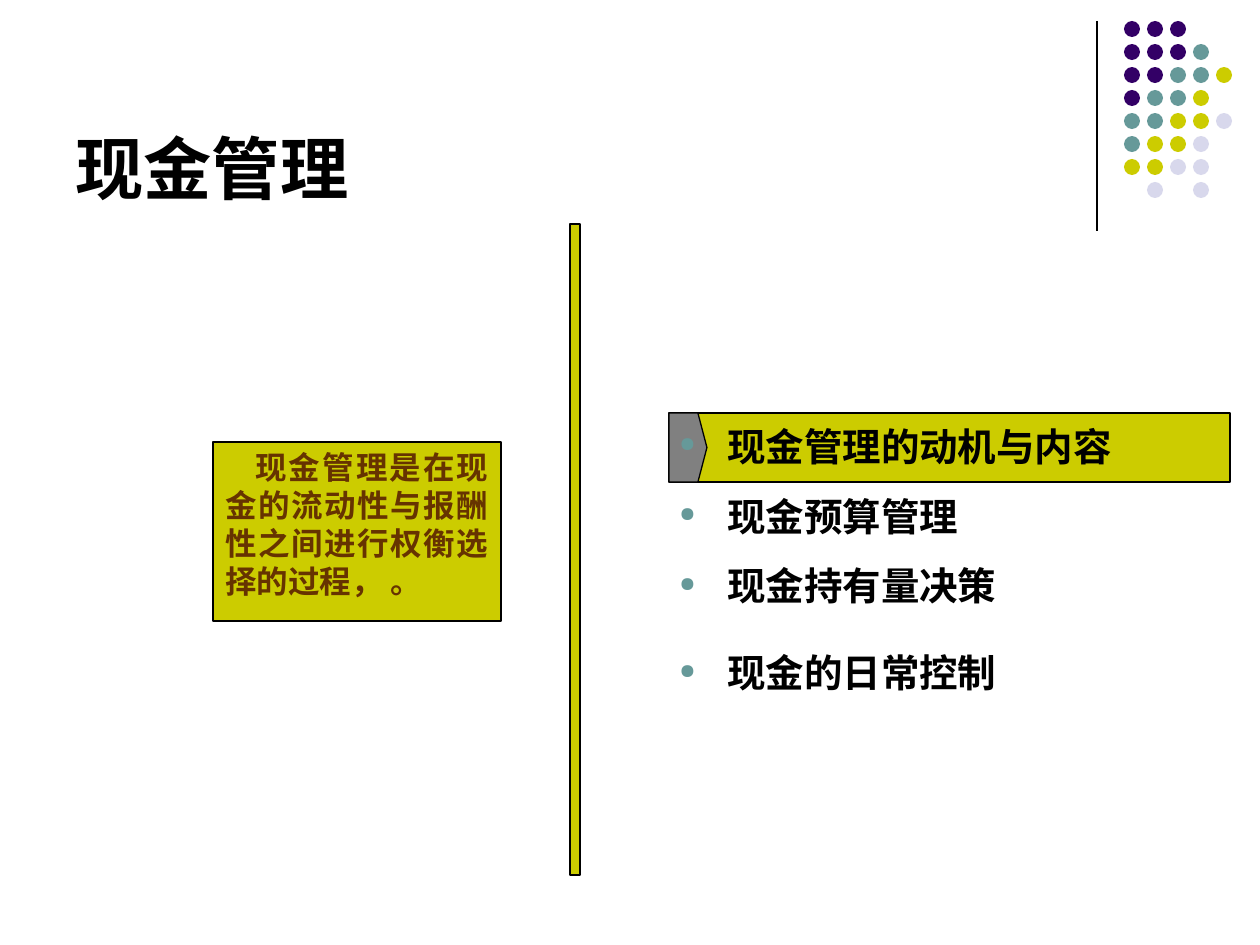
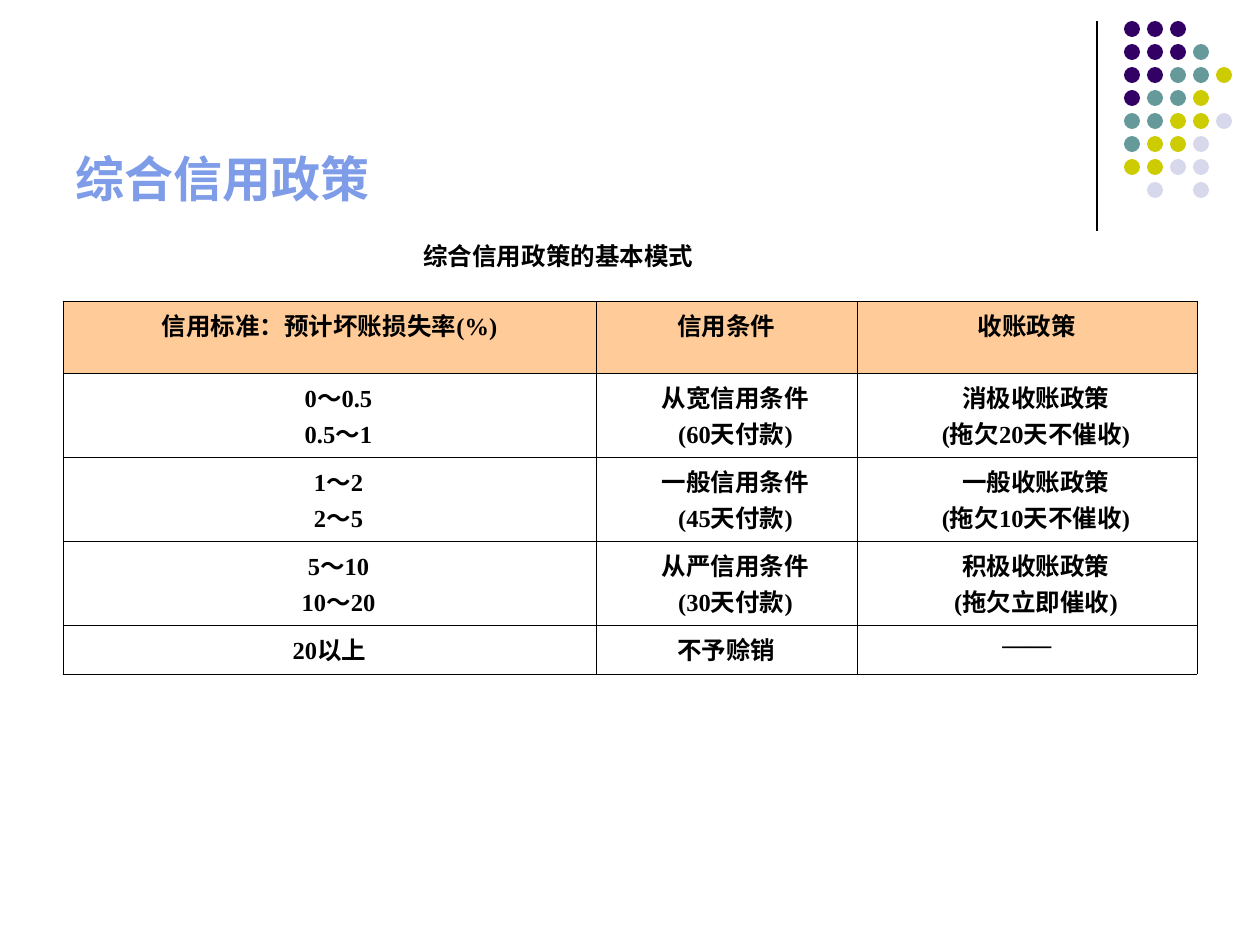
from lxml import etree
from pptx import Presentation
from pptx.dml.color import RGBColor
from pptx.enum import shapes, text
from pptx.oxml import ns
from pptx import util as u

# Scale: 126 px to the inch
PX = 914400 / 126

# Colours
BLACK = RGBColor(0x00, 0x00, 0x00)
PURPLE = RGBColor(0x33, 0x00, 0x66)
TEAL = RGBColor(0x66, 0x99, 0x99)
OLIVE = RGBColor(0xCC, 0xCC, 0x00)
LAVENDER = RGBColor(0xD8, 0xD8, 0xEC)
GREY = RGBColor(0x80, 0x80, 0x80)
BROWN = RGBColor(0x66, 0x33, 0x00)
BLUE = RGBColor(0x7E, 0x9C, 0xE8)
PEACH = RGBColor(0xFF, 0xCC, 0x99)

CJK = "Noto Sans CJK SC"
DOT_COLOURS = {"P": PURPLE, "T": TEAL, "O": OLIVE, "L": LAVENDER}
DOT_ROWS = ["PPP", "PPPT", "PPTTO", "PTTO", "TTOOL", "TOOL", "OOLL", " L L"]

TOPICS = ["现金管理的动机与内容", "现金预算管理", "现金持有量决策", "现金的日常控制"]
POLICY_ROWS = [
    ["信用标准：预计坏账损失率(%)", "信用条件", "收账政策"],
    ["0～0.5\n0.5～1", "从宽信用条件\n(60天付款)", "消极收账政策\n(拖欠20天不催收)"],
    ["1～2\n2～5", "一般信用条件\n(45天付款)", "一般收账政策\n(拖欠10天不催收)"],
    ["5～10\n10～20", "从严信用条件\n(30天付款)", "积极收账政策\n(拖欠立即催收)"],
    ["20以上", "不予赊销", "——"],
]
COLUMN_WIDTHS = [533, 261, 340]
ROW_HEIGHTS = [72, 84, 84, 84, 49]


def px(length):
    return round(length * PX)


def add_element(parent, tag, **attributes):
    child = etree.SubElement(parent, ns.qn(tag))
    for name, value in attributes.items():
        child.set(name, str(value))
    return child


def style_para(para, size, colour=BLACK, font="Arial"):
    para.font.size = u.Pt(size)
    para.font.bold = True
    para.font.color.rgb = colour
    para.font.name = font
    add_element(para.font._element, "a:ea", typeface=CJK)


def indent_para(para, margin, first):
    properties = para._p.get_or_add_pPr()
    properties.set("marL", str(px(margin)))
    properties.set("indent", str(px(first)))
    return properties


def paint(shape, colour, outlined=True):
    shape.shadow.inherit = False
    shape.fill.solid()
    shape.fill.fore_color.rgb = colour
    if outlined:
        shape.line.color.rgb = BLACK
        shape.line.width = u.Pt(0.75)
    else:
        shape.line.fill.background()


def add_block(page, kind, left, top, width, height, colour, outlined=True):
    block = page.shapes.add_shape(kind, px(left), px(top), px(width), px(height))
    paint(block, colour, outlined)
    return block


def add_text(page, left, top, width, height, anchor=text.MSO_ANCHOR.TOP):
    box = page.shapes.add_textbox(px(left), px(top), px(width), px(height))
    box.text_frame.word_wrap = True
    box.text_frame.vertical_anchor = anchor
    return box.text_frame


def add_page(deck, title, size, colour):
    page = deck.slides.add_slide(deck.slide_layouts[6])
    # Corner rule and dot grid
    rule = page.shapes.add_connector(
        shapes.MSO_CONNECTOR.STRAIGHT, px(1097), px(21), px(1097), px(231))
    rule.line.color.rgb = BLACK
    rule.line.width = u.Pt(0.75)
    add_element(rule._element.spPr, "a:effectLst")
    for row, codes in enumerate(DOT_ROWS):
        for column, code in enumerate(codes):
            if code in DOT_COLOURS:
                add_block(page, shapes.MSO_SHAPE.OVAL, 1124 + 23 * column,
                          21 + 23 * row, 16, 16, DOT_COLOURS[code], outlined=False)
    # Title
    frame = add_text(page, 63, 45, 1040, 169, text.MSO_ANCHOR.BOTTOM)
    frame.text = title
    style_para(frame.paragraphs[0], size, colour)
    return page


def add_highlight(page, left, top, width, height):
    add_block(page, shapes.MSO_SHAPE.RECTANGLE, left, top, width, height, OLIVE)
    tip, shoulder = left + 38, left + 29
    bottom = top + height
    outline = page.shapes.build_freeform(px(left), px(top))
    outline.add_line_segments([
        (px(x), px(y)) for x, y in
        [(shoulder, top), (tip, top + height / 2), (shoulder, bottom), (left, bottom)]])
    paint(outline.convert_to_shape(), GREY)


def add_topics(page):
    frame = add_text(page, 619, 403, 525, 310)
    frame.text = "\n".join(TOPICS)
    for para in frame.paragraphs:
        para.line_spacing = 1.3
        para.space_before = u.Pt(5.5)
        properties = indent_para(para, 96, -48)
        colour = add_element(properties, "a:buClr")
        add_element(colour, "a:srgbClr", val=TEAL)
        add_element(properties, "a:buSzPct", val=53000)
        add_element(properties, "a:buChar", char="●")
        style_para(para, 22, font=CJK)
    frame.paragraphs[-1].space_before = u.Pt(15.5)


def add_note(page):
    note = add_block(page, shapes.MSO_SHAPE.RECTANGLE, 213, 442, 288, 179, OLIVE)
    frame = note.text_frame
    frame.word_wrap = True
    frame.vertical_anchor = text.MSO_ANCHOR.TOP
    frame.text = "现金管理是在现金的流动性与报酬性之间进行权衡选择的过程， 。"
    para = frame.paragraphs[0]
    para.alignment = text.PP_ALIGN.JUSTIFY
    indent_para(para, 0, 30)
    style_para(para, 18, BROWN, CJK)


def border_cell(cell):
    properties = cell._tc.get_or_add_tcPr()
    for position, side in enumerate(["a:lnL", "a:lnR", "a:lnT", "a:lnB"]):
        line = etree.Element(ns.qn(side), w=str(u.Pt(0.45)))
        fill = add_element(line, "a:solidFill")
        add_element(fill, "a:srgbClr", val=BLACK)
        properties.insert(position, line)


def add_policy_table(page):
    table = page.shapes.add_table(
        len(ROW_HEIGHTS), len(COLUMN_WIDTHS), px(63), px(301),
        px(sum(COLUMN_WIDTHS)), px(sum(ROW_HEIGHTS))).table
    table.first_row = table.horz_banding = False
    for column, width in zip(table.columns, COLUMN_WIDTHS):
        column.width = px(width)
    for row, height, entries in zip(table.rows, ROW_HEIGHTS, POLICY_ROWS):
        row.height = px(height)
        for cell, entry in zip(row.cells, entries):
            cell.text = entry
            if entries is POLICY_ROWS[0]:
                cell.fill.solid()
                cell.fill.fore_color.rgb = PEACH
            else:
                cell.fill.background()
            border_cell(cell)
            for para in cell.text_frame.paragraphs:
                para.alignment = text.PP_ALIGN.CENTER
                indent_para(para, 48, -30 if "\n" in entry else -48)
                style_para(para, 14, font="Times New Roman")


def main():
    deck = Presentation()
    deck.slide_width, deck.slide_height = px(1260), px(945)

    # Cash management
    page = add_page(deck, "现金管理", 39, BLACK)
    add_highlight(page, 669, 413, 561, 69)
    add_topics(page)
    add_block(page, shapes.MSO_SHAPE.RECTANGLE, 570, 224, 10, 651, OLIVE)
    add_note(page)

    # Combined credit policy
    page = add_page(deck, "综合信用政策", 28, BLUE)
    add_policy_table(page)
    caption = add_text(page, 411, 234, 300, 43, text.MSO_ANCHOR.MIDDLE)
    caption.text = "综合信用政策的基本模式"
    style_para(caption.paragraphs[0], 14)

    deck.save("out.pptx")


if __name__ == "__main__":
    main()
